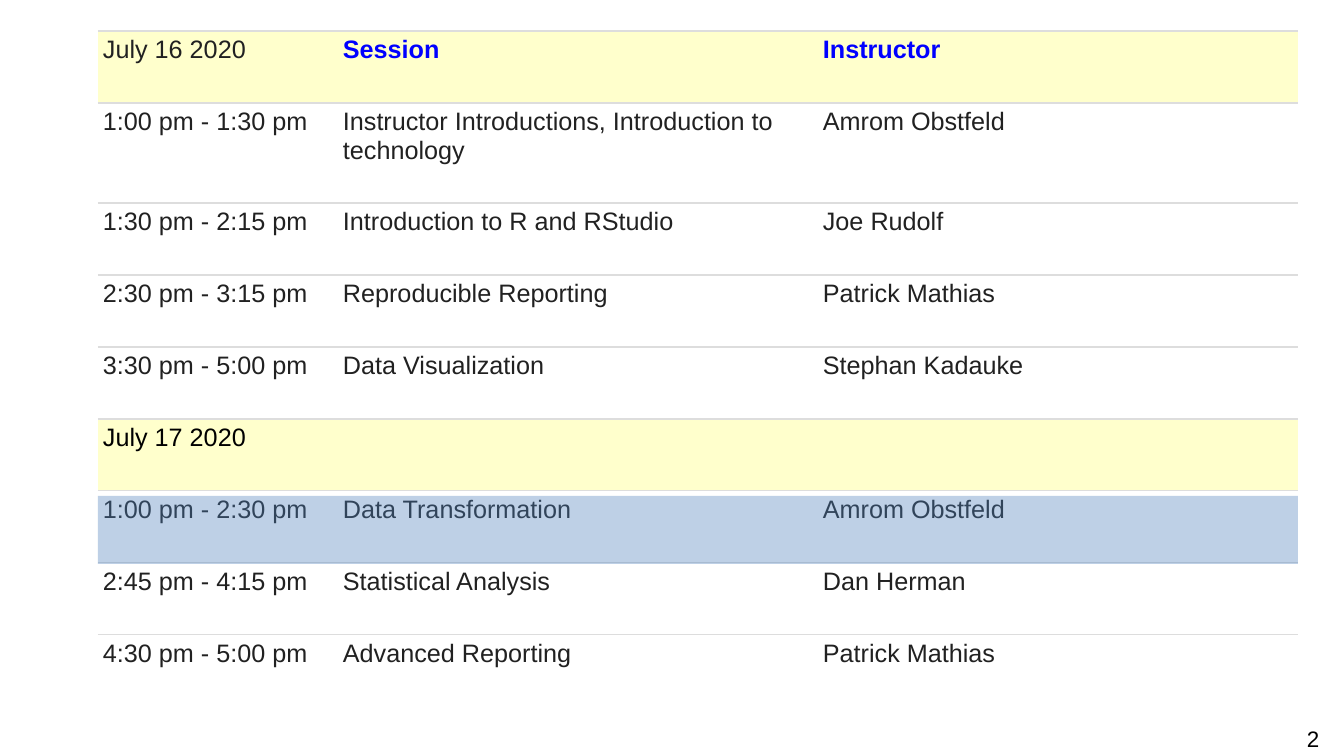
from dataclasses import dataclass

from lxml.etree import SubElement
from pptx import Presentation
from pptx.dml.color import RGBColor
from pptx.enum.shapes import MSO_SHAPE
from pptx.enum.text import MSO_AUTO_SIZE
from pptx.oxml.ns import qn
from pptx.util import Emu, Pt

COLORS = {
    "ink": "212121",
    "black": "000000",
    "heading": "0000FF",
    "day": "FFFFCC",
    "white": "FFFFFF",
    "rule": "DDDDDD",
    "highlight": "4F81BD",
}
COLUMN_WIDTHS = (240, 480, 480)
ROW_HEIGHT = 72
TALL_ROW_HEIGHT = 100
TABLE_LEFT, TABLE_TOP = 98, 31
CELL_INSET = 5


@dataclass(frozen=True)
class Row:
    time: str
    session: str = ""
    instructor: str = ""
    height: int = ROW_HEIGHT
    fill: str = "white"
    time_color: str = "ink"
    color: str = "ink"
    bold: bool = False


SCHEDULE = (
    Row("July 16 2020", "Session", "Instructor", fill="day", color="heading", bold=True),
    Row("1:00 pm - 1:30 pm", "Instructor Introductions, Introduction to technology",
        "Amrom Obstfeld", height=TALL_ROW_HEIGHT),
    Row("1:30 pm - 2:15 pm", "Introduction to R and RStudio", "Joe Rudolf"),
    Row("2:30 pm - 3:15 pm", "Reproducible Reporting", "Patrick Mathias"),
    Row("3:30 pm - 5:00 pm", "Data Visualization", "Stephan Kadauke"),
    Row("July 17 2020", fill="day", time_color="black"),
    Row("1:00 pm - 2:30 pm", "Data Transformation", "Amrom Obstfeld"),
    Row("2:45 pm - 4:15 pm", "Statistical Analysis", "Dan Herman"),
    Row("4:30 pm - 5:00 pm", "Advanced Reporting", "Patrick Mathias"),
)


def px(n: int) -> Emu:
    """Convert px to EMU at 100.8 px to the inch."""
    return Emu(round(n * 914400 / 100.8))


def rgb(name: str) -> RGBColor:
    return RGBColor.from_string(COLORS[name])


def write(p, text: str, size: int, color: str, bold: bool = False) -> None:
    r = p.add_run()
    r.text = text
    for name, value in {"name": "Arial", "size": Pt(size), "bold": bold}.items():
        setattr(r.font, name, value)
    r.font.color.rgb = rgb(color)


def set_borders(cell, has_bottom: bool) -> None:
    tc_pr = cell._tc.get_or_add_tcPr()
    sides = {"lnL": False, "lnR": False, "lnT": True, "lnB": has_bottom}
    for side, visible in sides.items():
        ln = SubElement(tc_pr, qn(f"a:{side}"), w=str(Pt(1)))
        if visible:
            fill = SubElement(ln, qn("a:solidFill"))
            SubElement(fill, qn("a:srgbClr"), val=COLORS["rule"])
        else:
            SubElement(ln, qn("a:noFill"))


def fill_cell(cell, text: str, color: str, bold: bool, fill: str, has_bottom: bool) -> None:
    for side in ("left", "right", "top", "bottom"):
        setattr(cell, f"margin_{side}", px(CELL_INSET))
    set_borders(cell, has_bottom)
    cell.fill.solid()
    cell.fill.fore_color.rgb = rgb(fill)
    if text:
        p = cell.text_frame.paragraphs[0]
        p.space_after = Pt(15)
        write(p, text, 18, color, bold)


def add_schedule(s) -> None:
    height = sum(row.height for row in SCHEDULE)
    frame = s.shapes.add_table(len(SCHEDULE), len(COLUMN_WIDTHS), px(TABLE_LEFT),
                               px(TABLE_TOP), px(sum(COLUMN_WIDTHS)), px(height))
    table = frame.table
    table.first_row = table.horz_banding = False
    for column, width in zip(table.columns, COLUMN_WIDTHS):
        column.width = px(width)
    for i, row in enumerate(SCHEDULE):
        table.rows[i].height = px(row.height)
        has_bottom = i < len(SCHEDULE) - 1
        fill_cell(table.cell(i, 0), row.time, row.time_color, False, row.fill, has_bottom)
        for j, text in enumerate((row.session, row.instructor), start=1):
            fill_cell(table.cell(i, j), text, row.color, row.bold, row.fill, has_bottom)


def add_highlight(s) -> None:
    sp = s.shapes.add_shape(MSO_SHAPE.RECTANGLE, px(TABLE_LEFT), px(496),
                            px(sum(COLUMN_WIDTHS)), px(68))
    sp.shadow.inherit = False
    sp.line.fill.background()
    sp.fill.solid()
    sp.fill.fore_color.rgb = rgb("highlight")
    color = sp._element.spPr.find(f"{qn('a:solidFill')}/{qn('a:srgbClr')}")
    SubElement(color, qn("a:alpha"), val="37000")


def add_page_number(s) -> None:
    tf = s.shapes.add_textbox(px(1297), px(720), px(48), px(37)).text_frame
    tf.word_wrap = False
    tf.auto_size = MSO_AUTO_SIZE.SHAPE_TO_FIT_TEXT
    write(tf.paragraphs[0], "2", 16, "black")


def main() -> None:
    prs = Presentation()
    prs.slide_width, prs.slide_height = px(1344), px(756)
    s = prs.slides.add_slide(prs.slide_layouts[6])
    # Page number
    add_page_number(s)
    # Two-day schedule
    add_schedule(s)
    # Current session
    add_highlight(s)
    prs.save("out.pptx")


if __name__ == "__main__":
    main()
